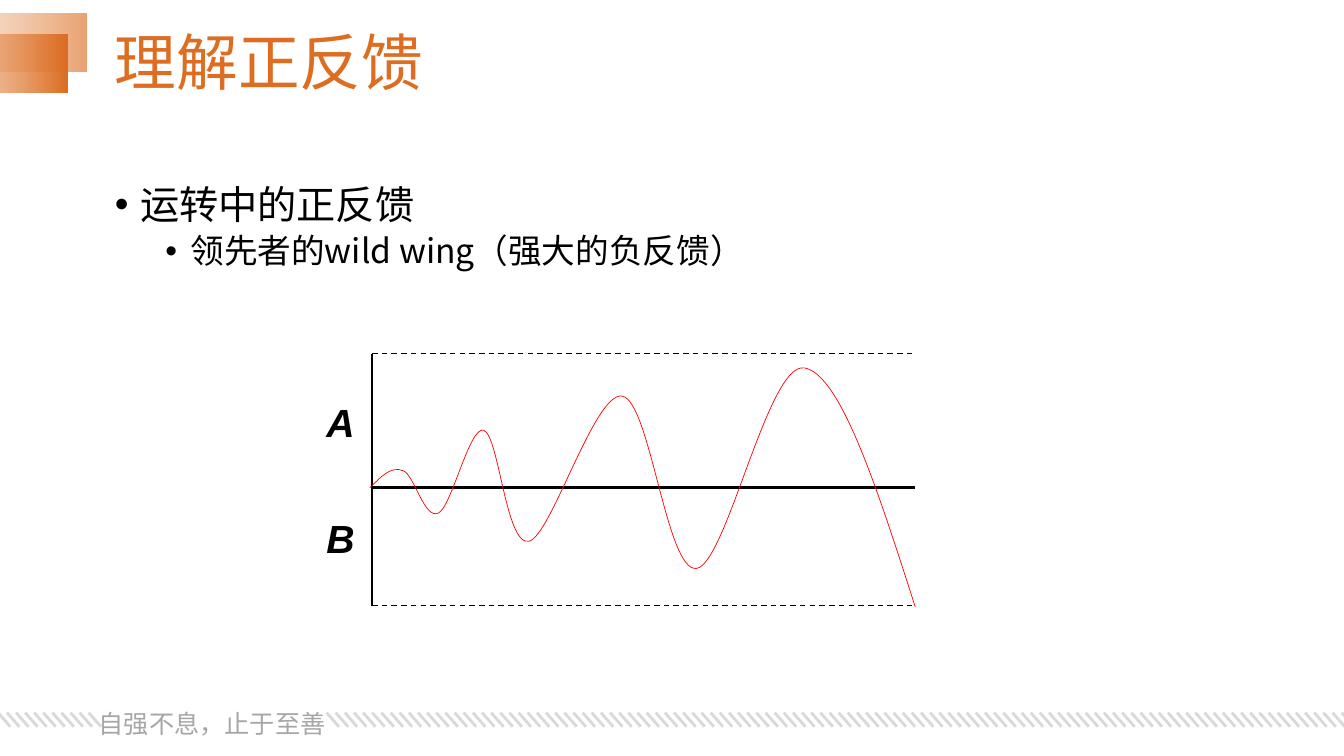
from lxml import etree
from pptx import Presentation
from pptx.dml.color import RGBColor
from pptx.enum.dml import MSO_LINE
from pptx.enum.shapes import MSO_CONNECTOR, MSO_SHAPE
from pptx.enum.text import MSO_ANCHOR, MSO_AUTO_SIZE, PP_ALIGN
from pptx.oxml.ns import qn
from pptx.util import Inches, Pt

SLIDE_W, SLIDE_H = Inches(13.33), Inches(7.5)
STRAIGHT = MSO_CONNECTOR.STRAIGHT
RECTANGLE = MSO_SHAPE.RECTANGLE
DASH = MSO_LINE.DASH
TOP, MIDDLE = MSO_ANCHOR.TOP, MSO_ANCHOR.MIDDLE
LEFT, JUSTIFY = PP_ALIGN.LEFT, PP_ALIGN.JUSTIFY
NO_FIT, GROW = MSO_AUTO_SIZE.NONE, MSO_AUTO_SIZE.SHAPE_TO_FIT_TEXT

ORANGE = RGBColor(0xDD, 0x6D, 0x21)
PALE_ORANGE = RGBColor(0xEA, 0xA3, 0x72)
WHITE = RGBColor(0xFF, 0xFF, 0xFF)
BLACK = RGBColor(0x00, 0x00, 0x00)
RED = RGBColor(0xFF, 0x00, 0x00)
HATCH_GREY = RGBColor(0xD9, 0xD9, 0xD9)
MOTTO_GREY = RGBColor(0xA6, 0xA6, 0xA6)

HEADING_FONT = "Noto Sans CJK SC"
MOTTO_FONT = "Noto Sans CJK JP"
LABEL_FONT = "Arial"

# Positions are percentages of the slide's width and height.
AXIS_X, AXIS_END = 27.68, 68.1
UPPER_LIMIT, MIDLINE, LOWER_LIMIT = 46.8, 64.53, 80.13
HATCH_TOP, HATCH_BOTTOM, HATCH_RUN = 94.27, 96.13, 0.92
SWING_START = (27.53, 64.53)
SWING_POINTS = [
    (28.35, 63.07), (29.1, 61.6), (30, 62.27),
    (30.83, 62.8), (31.58, 68.8), (32.63, 67.87),
    (33.6, 67.07), (34.95, 56.27), (36, 56.93),
    (37.13, 57.6), (37.65, 72.4), (39.38, 71.6),
    (41.03, 70.8), (44.25, 51.87), (46.28, 52.4),
    (48.38, 52.93), (49.58, 75.73), (51.83, 75.2),
    (54.08, 74.53), (57.15, 47.87), (59.85, 48.67),
    (62.55, 49.47), (65.33, 64.93), (68.1, 80.27),
]


def across(share):
    return round(SLIDE_W * share / 100)


def down(share):
    return round(SLIDE_H * share / 100)


def box(left, top, width, height):
    return across(left), down(top), across(width), down(height)


def place(holder, left, top, width, height):
    holder.left, holder.top, holder.width, holder.height = box(left, top, width, height)


def add_run(paragraph, text, font_name, size, color, strong=False):
    run = paragraph.add_run()
    run.text = text
    font = run.font
    font.size = Pt(size)
    font.bold = font.italic = strong
    font.color.rgb = color
    font.name = font_name
    etree.SubElement(font._element, qn("a:ea"), typeface=font_name)


def add_line(slide, start, end, color, weight, dash=None):
    line = slide.shapes.add_connector(
        STRAIGHT, across(start[0]), down(start[1]), across(end[0]), down(end[1]))
    line.line.color.rgb = color
    line.line.width = Pt(weight)
    if dash:
        line.line.dash_style = dash
    etree.SubElement(line._element.spPr, qn("a:effectLst"))


def add_corner_block(slide, left, top, color, start_alpha):
    block = slide.shapes.add_shape(RECTANGLE, *box(left, top, 18.38, 7.73))
    block.shadow.inherit = False
    block.line.fill.background()
    block.fill.gradient()
    block.fill.gradient_angle = 0
    for stop, stop_color in zip(block.fill.gradient_stops, (WHITE, color)):
        stop.color.rgb = stop_color
    first_color = next(block._element.spPr.iter(qn("a:srgbClr")))
    etree.SubElement(first_color, qn("a:alpha"), val=str(start_alpha * 1000))


def add_hatching(slide, first, last, count):
    step = (last - first) / (count - 1)
    for index in range(count):
        left = first + index * step
        add_line(slide, (left, HATCH_TOP), (left + HATCH_RUN, HATCH_BOTTOM), HATCH_GREY, 2)


def add_text(slide, area, text, font_name, size, color, strong=False, wrap=True):
    text_box = slide.shapes.add_textbox(*box(*area))
    frame = text_box.text_frame
    frame.word_wrap = wrap
    frame.auto_size = GROW
    add_run(frame.paragraphs[0], text, font_name, size, color, strong)
    return frame.paragraphs[0]


def add_bullet(paragraph, text, level, size, space_before):
    paragraph.level = level
    paragraph.alignment = LEFT
    paragraph.line_spacing = 0.9
    paragraph.space_before = Pt(space_before)
    properties = paragraph._p.get_or_add_pPr()
    properties.set("marL", str(Inches(0.25 + 0.5 * level)))
    properties.set("indent", str(Inches(-0.25)))
    etree.SubElement(properties, qn("a:buFont"), typeface="Arial")
    etree.SubElement(properties, qn("a:buChar"), char="•")
    add_run(paragraph, text, HEADING_FONT, size, BLACK)


def fill_title(title, text):
    place(title, 7.8, 1.47, 86.25, 14.27)
    frame = title.text_frame
    frame.auto_size = NO_FIT
    frame.vertical_anchor = MIDDLE
    heading = frame.paragraphs[0]
    heading.alignment = LEFT
    heading.line_spacing = 0.9
    add_run(heading, text, HEADING_FONT, 44, ORANGE)


def fill_body(body):
    place(body, 7.8, 23.87, 86.25, 64.53)
    frame = body.text_frame
    frame.auto_size = NO_FIT
    frame.vertical_anchor = TOP
    add_bullet(frame.paragraphs[0], "运转中的正反馈", 0, 28, 0)
    add_bullet(frame.add_paragraph(), "领先者的wild wing（强大的负反馈）", 1, 24, 5)


def add_swing_curve(slide):
    points = [(across(x), down(y)) for x, y in SWING_POINTS]
    builder = slide.shapes.build_freeform(across(SWING_START[0]), down(SWING_START[1]))
    builder.add_line_segments(points, close=False)
    curve = builder.convert_to_shape()
    curve.shadow.inherit = False
    curve.fill.background()
    curve.line.color.rgb = RED
    curve.line.width = Pt(0.5)
    outline = next(curve._element.iter(qn("a:path")))
    segments = outline.findall(qn("a:lnTo"))
    for first in range(0, len(segments), 3):
        bend = etree.SubElement(outline, qn("a:cubicBezTo"))
        for segment in segments[first:first + 3]:
            bend.append(segment[0])
            outline.remove(segment)


def add_swing_diagram(slide):
    add_line(slide, (AXIS_X, UPPER_LIMIT), (AXIS_X, LOWER_LIMIT), BLACK, 2)
    add_line(slide, (AXIS_X, MIDLINE), (AXIS_END, MIDLINE), BLACK, 2)
    for label, top in (("A", 52), ("B", 67.33)):
        add_text(slide, (23.55, top, 3, 7.6), label, LABEL_FONT, 28, BLACK,
                 strong=True, wrap=False)
    for limit in (LOWER_LIMIT, UPPER_LIMIT):
        add_line(slide, (AXIS_X, limit), (AXIS_END, limit), BLACK, 1, DASH)
    add_swing_curve(slide)


def main():
    deck = Presentation()
    deck.slide_width, deck.slide_height = SLIDE_W, SLIDE_H
    slide = deck.slides.add_slide(deck.slide_layouts[1])
    add_corner_block(slide, -11.93, 1.73, PALE_ORANGE, 25)
    add_corner_block(slide, -13.35, 4.53, ORANGE, 0)
    add_hatching(slide, -0.15, 6.6, 11)
    motto = add_text(slide, (6.6, 91.07, 18.45, 6.93), "自强不息，止于至善",
                     MOTTO_FONT, 18, MOTTO_GREY)
    motto.alignment = JUSTIFY
    motto.line_spacing = 1.5
    add_hatching(slide, 24.3, 99.83, 112)
    fill_title(slide.shapes.title, "理解正反馈")
    fill_body(slide.placeholders[1])
    add_swing_diagram(slide)
    deck.save("out.pptx")


if __name__ == "__main__":
    main()
